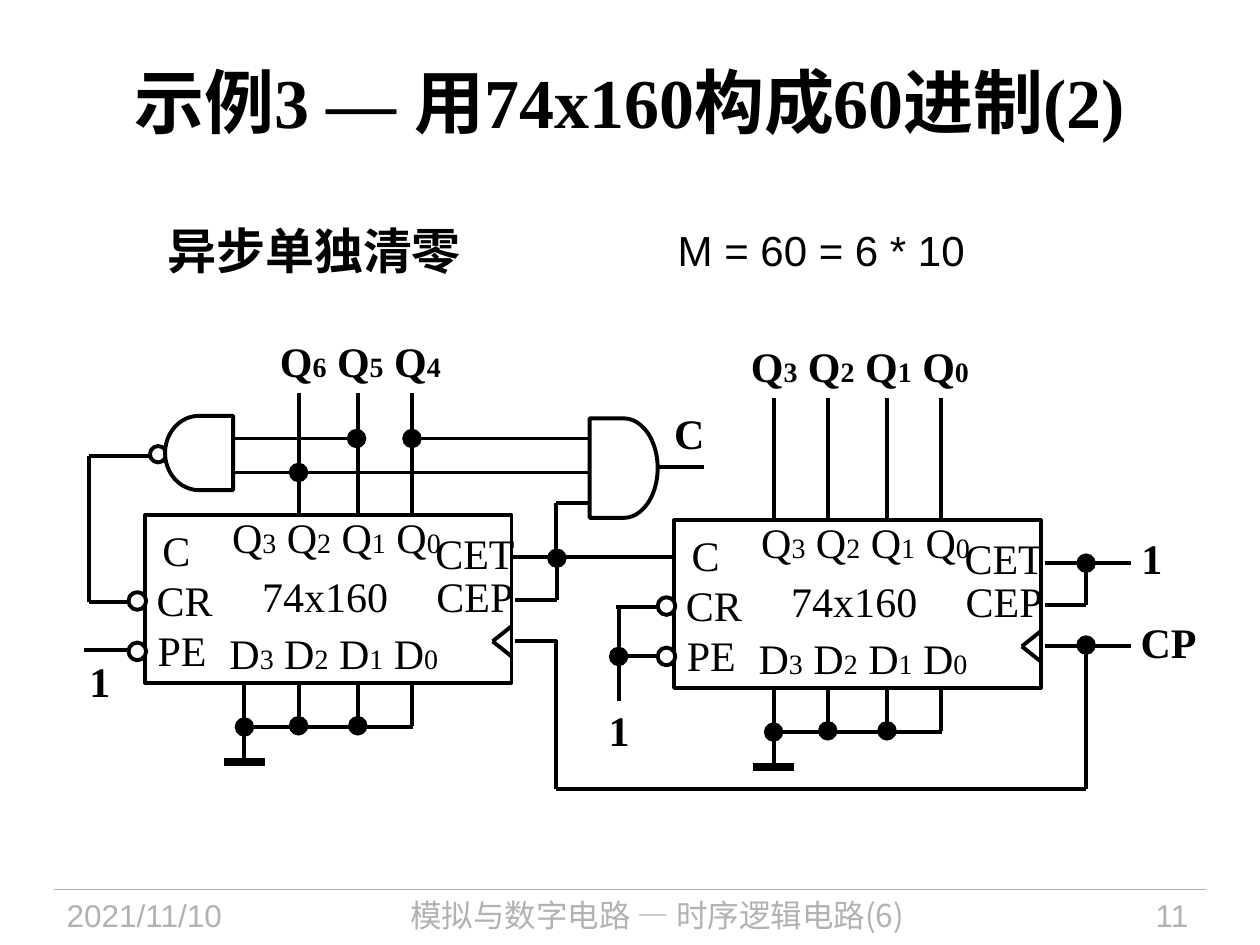
from lxml import etree
from pptx import Presentation
from pptx.dml.color import RGBColor
from pptx.enum.shapes import MSO_CONNECTOR, MSO_SHAPE
from pptx.enum.text import MSO_ANCHOR, MSO_AUTO_SIZE, PP_ALIGN
from pptx.oxml.ns import qn
from pptx.util import Inches, Pt

STRAIGHT = MSO_CONNECTOR.STRAIGHT
RECTANGLE, OVAL = MSO_SHAPE.RECTANGLE, MSO_SHAPE.OVAL
GATE = MSO_SHAPE.FLOWCHART_DELAY
LEFT, CENTER, RIGHT = PP_ALIGN.LEFT, PP_ALIGN.CENTER, PP_ALIGN.RIGHT
TOP, MIDDLE = MSO_ANCHOR.TOP, MSO_ANCHOR.MIDDLE
FIT_SHAPE, NO_FIT = MSO_AUTO_SIZE.SHAPE_TO_FIT_TEXT, MSO_AUTO_SIZE.NONE

SERIF, SANS, CJK = "Times New Roman", "Arial", "Noto Sans CJK SC"
BLACK, WHITE, GRAY = "000000", "FFFFFF", "B2B2B2"


def rgb(value):
    return RGBColor.from_string(value)


def indexed(letter, digits):
    runs = []
    for position, digit in enumerate(digits):
        runs += [((" " if position else "") + letter, 24), (digit, 16)]
    return runs


class Diagram:
    line_width = 2.25
    pin_columns = (0.79, 1.22, 1.69, 2.12)
    chip_width, chip_height = 2.91, 1.33

    def __init__(self, slide):
        self.slide = slide

    def add_runs(self, paragraph, runs, font, color=BLACK, bold=False):
        for wording, size in runs:
            run = paragraph.add_run()
            run.text = wording
            run.font.size = Pt(size)
            run.font.bold = bold
            run.font.color.rgb = rgb(color)
            run.font.name = font
            east_asian = etree.SubElement(run._r.get_or_add_rPr(), qn("a:ea"))
            east_asian.set("typeface", CJK)

    def title(self, wording, box):
        heading = self.slide.shapes.title
        heading.left, heading.top, heading.width, heading.height = map(Inches, box)
        frame = heading.text_frame
        frame.vertical_anchor = MIDDLE
        frame.auto_size = NO_FIT
        frame.paragraphs[0].alignment = CENTER
        self.add_runs(frame.paragraphs[0], [(wording, 40)], SERIF, bold=True)

    def text(self, runs, box, font=SERIF, color=BLACK, bold=False,
             align=CENTER, anchor=MIDDLE, wrap=False):
        frame = self.slide.shapes.add_textbox(*map(Inches, box)).text_frame
        frame.word_wrap = wrap
        frame.auto_size = NO_FIT if wrap else FIT_SHAPE
        frame.vertical_anchor = anchor
        paragraph = frame.paragraphs[0]
        paragraph.alignment = align
        self.add_runs(paragraph, runs, font, color, bold)
        return frame

    def signal(self, wording, left, top, width):
        frame = self.text([(wording, 24)], (left, top, width, 0.36),
                          bold=True, anchor=TOP)
        frame.margin_left = frame.margin_right = 0
        frame.margin_top = frame.margin_bottom = 0
        frame.paragraphs[0].line_spacing = 0.9

    def wire(self, start, end, dots="", width=line_width, color=BLACK):
        line = self.slide.shapes.add_connector(STRAIGHT, *map(Inches, (*start, *end)))
        line.line.width = Pt(width)
        line.line.color.rgb = rgb(color)
        stroke = line._element.spPr.find(qn("a:ln"))
        for side in ("head", "tail"):
            if side in dots:
                dot = etree.SubElement(stroke, qn(f"a:{side}End"))
                for key, value in (("type", "oval"), ("w", "lg"), ("len", "lg")):
                    dot.set(key, value)
        etree.SubElement(line._element.spPr, qn("a:effectLst"))

    def outline(self, kind, box, fill=None, rotation=0):
        shape = self.slide.shapes.add_shape(kind, *map(Inches, box))
        shape.shadow.inherit = False
        shape.rotation = rotation
        if fill:
            shape.fill.solid()
            shape.fill.fore_color.rgb = rgb(fill)
        else:
            shape.fill.background()
        shape.line.color.rgb = rgb(BLACK)
        shape.line.width = Pt(self.line_width)

    def counter(self, left, top, outputs, clock_reach):
        def at(x, y):
            return left + x, top + y

        self.outline(RECTANGLE, (left, top, self.chip_width, self.chip_height))
        for column in self.pin_columns[-outputs:]:
            self.wire(at(column, 0), at(column, -0.97))

        first, *middle, last = self.pin_columns
        self.wire(at(first, 1.96), at(first, 1.35))
        for column in middle:
            self.wire(at(column, 1.67), at(column, 1.34), "head")
        self.wire(at(last, 1.67), at(last, 1.34))
        self.wire(at(first, 1.68), at(last + 0.01, 1.68), "head")
        self.wire(at(first - 0.16, 1.96), at(first + 0.16, 1.96), width=4.5)

        self.wire(at(2.94, 0.67), at(3.27, 0.67))
        self.wire(at(3.27, 0.67), at(3.27, 0.34), "tail")
        self.wire(at(2.94, 1), at(clock_reach, 1))
        for y in (0.88, 1.12):
            self.wire(at(2.76, 1), at(2.91, y))
        for y in (0.61, 1.01):
            self.outline(OVAL, (*at(-0.13, y), 0.14, 0.14), WHITE)

        for runs, x, y, width in (
            (indexed("Q", "3210"), 0.59, -0.08, 1.86),
            (indexed("D", "3210"), 0.57, 0.84, 1.86),
            ([("74x160", 24)], 0.83, 0.39, 1.2),
            ([("C", 24)], 0.04, 0.02, 0.42),
            ([("CR", 24)], -0.01, 0.42, 0.65),
            ([("PE", 24)], 0, 0.82, 0.59),
            ([("CET", 24)], 2.2, 0.05, 0.84),
            ([("CEP", 24)], 2.21, 0.39, 0.82),
        ):
            self.text(runs, (*at(x, y), width, 0.5))

    def footer(self, wording, left, width, align, font=SANS):
        self.text([(wording, 18)], (left, 7.06, width, 0.44), font, GRAY,
                  align=align, anchor=TOP, wrap=True)


def main():
    deck = Presentation()
    deck.slide_width, deck.slide_height = Inches(10), Inches(7.5)
    diagram = Diagram(deck.slides.add_slide(deck.slide_layouts[5]))

    diagram.wire((0.43, 7.06), (9.57, 7.06), width=0.75, color=GRAY)
    diagram.footer("2021/11/10", 0.43, 1.88, LEFT)
    diagram.footer("模拟与数字电路 — 时序逻辑电路(6)", 2.4, 5.63, CENTER, CJK)
    diagram.footer("11", 8.2, 1.33, RIGHT)

    diagram.title("示例3 — 用74x160构成60进制(2)", (0.5, 0.17, 9, 1.25))
    diagram.text([("异步单独清零", 28)], (1.23, 1.7, 2.53, 0.57), SANS,
                 bold=True, align=LEFT, anchor=TOP)
    diagram.text([("M = 60 = 6 * 10", 24)], (5.28, 1.73, 2.48, 0.5), SANS,
                 align=LEFT, anchor=TOP)

    for start, end, dots in (
        ((0.67, 5.16), (1.02, 5.16), ""),
        ((0.71, 4.78), (1.02, 4.78), ""),
        ((0.71, 4.78), (0.71, 3.62), ""),
        ((0.71, 3.62), (1.18, 3.62), ""),
        ((1.85, 3.48), (2.83, 3.48), "tail"),
        ((1.85, 3.75), (2.37, 3.75), "tail"),
        ((3.27, 3.48), (4.68, 3.48), "head"),
        ((2.37, 3.75), (4.68, 3.75), ""),
        ((4.41, 3.99), (4.68, 3.99), ""),
        ((4.41, 3.99), (4.41, 4.45), ""),
        ((5.23, 3.71), (5.59, 3.71), ""),
        ((4.05, 4.42), (5.35, 4.42), ""),
        ((8.29, 4.47), (8.98, 4.47), ""),
        ((4.91, 5.21), (5.22, 5.21), "head"),
        ((4.89, 4.82), (5.22, 4.82), ""),
        ((4.91, 5.56), (4.91, 4.8), ""),
        ((4.41, 6.26), (4.41, 5.08), ""),
        ((4.41, 6.26), (8.62, 6.26), ""),
        ((8.62, 6.26), (8.62, 5.12), "tail"),
    ):
        diagram.wire(start, end, dots)

    diagram.counter(1.15, 4.09, outputs=3, clock_reach=3.27)
    diagram.counter(5.35, 4.13, outputs=4, clock_reach=3.63)
    diagram.outline(OVAL, (1.19, 3.54, 0.13, 0.13), WHITE)
    diagram.outline(GATE, (1.31, 3.3, 0.54, 0.59), WHITE, 180)
    diagram.outline(GATE, (4.68, 3.32, 0.54, 0.79), WHITE)

    diagram.text(indexed("Q", "654"), (2.12, 2.61, 1.48, 0.5), bold=True)
    diagram.text(indexed("Q", "3210"), (5.86, 2.65, 1.93, 0.5), bold=True)
    for wording, left, top, width in (
        ("1", 0.71, 5.25, 0.16),
        ("1", 4.83, 5.64, 0.16),
        ("1", 9.06, 4.27, 0.16),
        ("CP", 8.98, 4.94, 0.59),
        ("C", 5.35, 3.28, 0.24),
    ):
        diagram.signal(wording, left, top, width)

    deck.save("out.pptx")


if __name__ == "__main__":
    main()
